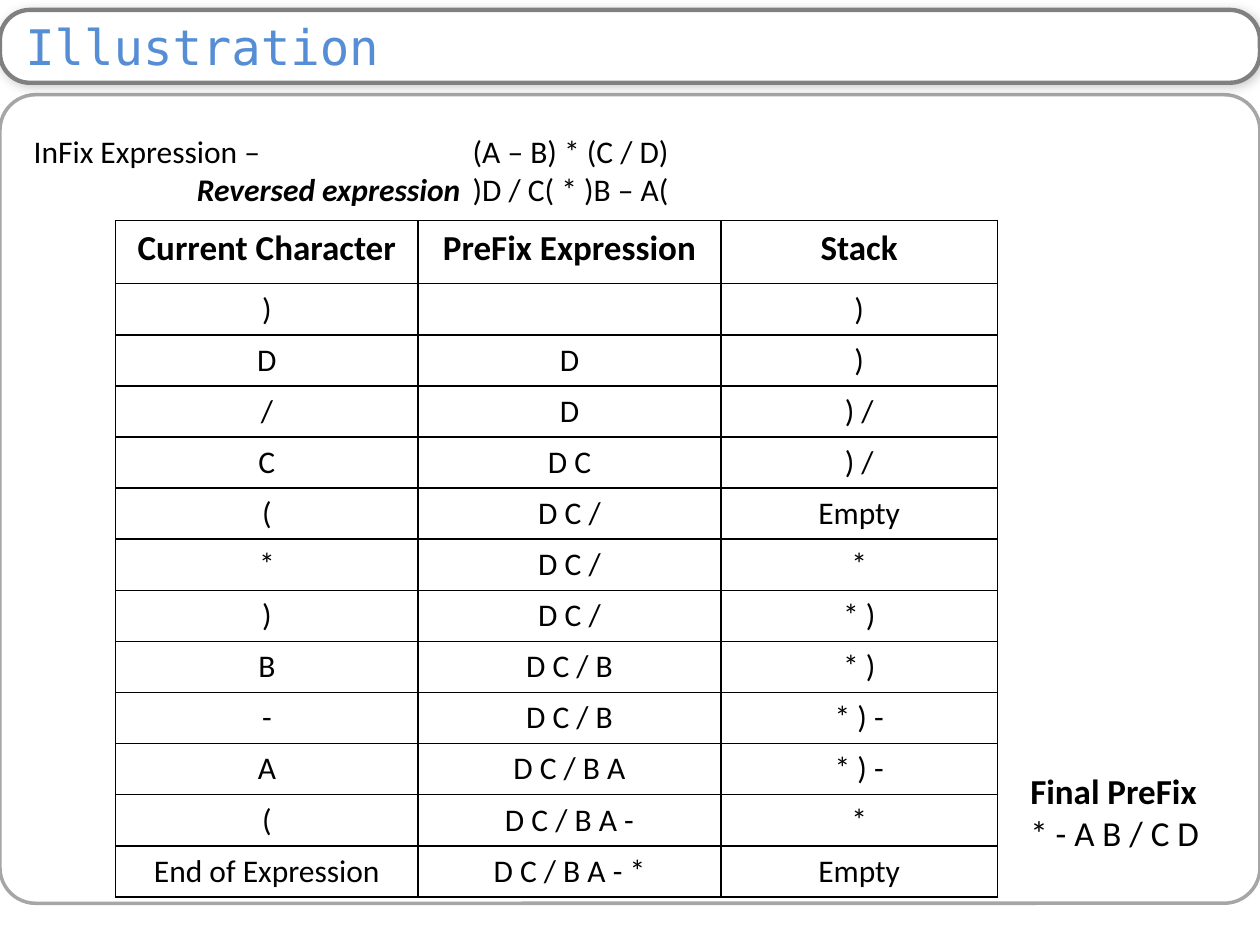
from typing import NamedTuple

from lxml import etree
from pptx import Presentation
from pptx import util as u
from pptx.dml.color import RGBColor
from pptx.enum import shapes, text
from pptx.oxml import parse_xml
from pptx.oxml.ns import nsdecls, qn

COLORS = {
    "text": "000000",
    "title": "558ED5",
    "panel": "FFFFFF",
    "header_line": "808080",
    "body_line": "A6A6A6",
    "border": "000000",
}
BODY_FONT = "Calibri"
TITLE_FONT = "DejaVu Sans Mono"


class Frame(NamedTuple):
    left: float
    top: float
    width: float
    height: float

    def lengths(self) -> list:
        return [u.Cm(value) for value in self]


class Panel(NamedTuple):
    frame: Frame
    radius: float
    line: str
    weight: float
    shadowed: bool


class Step(NamedTuple):
    character: str
    prefix: str
    stack: str


HEADER = Frame(0, 0.2, 25.4, 1.47)
PANELS = [
    Panel(Frame(0, 1.91, 25.4, 16.3), 0.044, "body_line", 2, False),
    Panel(HEADER, 0.409, "header_line", 2.5, True),
]
STEPS = [
    Step("Current Character", "PreFix Expression", "Stack"),
    Step(")", "", ")"),
    Step("D", "D", ")"),
    Step("/", "D", ") /"),
    Step("C", "D C", ") /"),
    Step("(", "D C /", "Empty"),
    Step("*", "D C /", "*"),
    Step(")", "D C /", "* )"),
    Step("B", "D C / B", "* )"),
    Step("-", "D C / B", "* ) -"),
    Step("A", "D C / B A", "* ) -"),
    Step("(", "D C / B A -", "*"),
    Step("End of Expression", "D C / B A - *", "Empty"),
]
COLUMN_WIDTHS = [6.1, 6.1, 5.58]
HEAD_HEIGHT, ROW_HEIGHT = 1.27, 1.03
TAB_STOPS = [3.29, 8.85]


def color(name: str) -> RGBColor:
    return RGBColor.from_string(COLORS[name])


def write(para, words: str, *, size=18, font=BODY_FONT, fill="text", bold=False, italic=False):
    span = para.add_run()
    span.text = words
    span.font.size = u.Pt(size)
    span.font.name = font
    span.font.color.rgb = color(fill)
    span.font.bold = bold
    span.font.italic = italic


def draw_panel(slide, panel: Panel) -> None:
    shape = slide.shapes.add_shape(
        shapes.MSO_SHAPE.ROUNDED_RECTANGLE, *panel.frame.lengths())
    shape.adjustments[0] = panel.radius
    shape.line.color.rgb = color(panel.line)
    shape.line.width = u.Pt(panel.weight)
    shape.shadow.inherit = False
    if not panel.shadowed:
        shape.fill.background()
        return
    shape.fill.solid()
    shape.fill.fore_color.rgb = color("panel")
    effects = shape._element.spPr.find(qn("a:effectLst"))
    effects.append(parse_xml(
        f'<a:outerShdw {nsdecls("a")} blurRad="{u.Pt(6)}" dist="{u.Pt(1)}" dir="2700000">'
        '<a:srgbClr val="000000"><a:alpha val="20000"/></a:srgbClr></a:outerShdw>'))


def place_title(slide, words: str) -> None:
    title = slide.shapes.title
    slide.shapes._spTree.append(title._element)
    title.left, title.top, title.width, title.height = HEADER.lengths()
    frame = title.text_frame
    frame.word_wrap = True
    frame.vertical_anchor = text.MSO_ANCHOR.MIDDLE
    frame.margin_left, frame.margin_right = u.Cm(0.51), u.Cm(0.25)
    frame.margin_top = frame.margin_bottom = 0
    para = frame.paragraphs[0]
    para.alignment = text.PP_ALIGN.LEFT
    write(para, words, size=28, font=TITLE_FONT, fill="title")


def add_text(slide, place: Frame):
    box = slide.shapes.add_textbox(*place.lengths())
    box.text_frame.word_wrap = True
    box.text_frame.auto_size = text.MSO_AUTO_SIZE.SHAPE_TO_FIT_TEXT
    return box.text_frame


def set_tabs(para) -> None:
    tabs = etree.SubElement(para._p.get_or_add_pPr(), qn("a:tabLst"))
    for stop in TAB_STOPS:
        etree.SubElement(tabs, qn("a:tab"), pos=str(u.Cm(stop)), algn="l")


def add_borders(cell) -> None:
    properties = cell._tc.get_or_add_tcPr()
    for index, side in enumerate(("lnL", "lnR", "lnT", "lnB")):
        properties.insert(index, parse_xml(
            f'<a:{side} {nsdecls("a")} w="{u.Pt(1)}"><a:solidFill>'
            f'<a:srgbClr val="{COLORS["border"]}"/></a:solidFill></a:{side}>'))


def draw_table(slide) -> None:
    heights = [HEAD_HEIGHT] + [ROW_HEIGHT] * (len(STEPS) - 1)
    place = Frame(2.33, 4.45, sum(COLUMN_WIDTHS), sum(heights))
    table = slide.shapes.add_table(
        len(STEPS), len(COLUMN_WIDTHS), *place.lengths()).table
    table.first_row = table.horz_banding = False
    for column, width in zip(table.columns, COLUMN_WIDTHS):
        column.width = u.Cm(width)
    for index, (row, step, height) in enumerate(zip(table.rows, STEPS, heights)):
        row.height = u.Cm(height)
        heading = index == 0
        for cell, words in zip(row.cells, step):
            cell.fill.background()
            add_borders(cell)
            para = cell.text_frame.paragraphs[0]
            para.alignment = text.PP_ALIGN.CENTER
            para.font.size = u.Pt(18)
            if words:
                write(para, words, size=20 if heading else 18, bold=heading)


def main() -> None:
    deck = Presentation()
    deck.slide_width, deck.slide_height = u.Cm(25.4), u.Cm(19.05)
    slide = deck.slides.add_slide(deck.slide_layouts[5])
    for panel in PANELS:
        draw_panel(slide, panel)
    place_title(slide, "Illustration")

    expressions = add_text(slide, Frame(0.43, 2.54, 24.56, 4.88))
    infix, backward = expressions.paragraphs[0], expressions.add_paragraph()
    set_tabs(infix)
    set_tabs(backward)
    write(infix, "InFix Expression –\t(A – B) * (C / D)")
    write(backward, "\tReversed expression", bold=True, italic=True)
    write(backward, "\t)D / C( * )B – A(")

    draw_table(slide)

    result = add_text(slide, Frame(20.52, 15.39, 4.45, 1.96))
    write(result.paragraphs[0], "Final PreFix", size=20, bold=True)
    write(result.add_paragraph(), "* - A B / C D", size=20)
    deck.save("out.pptx")


if __name__ == "__main__":
    main()
